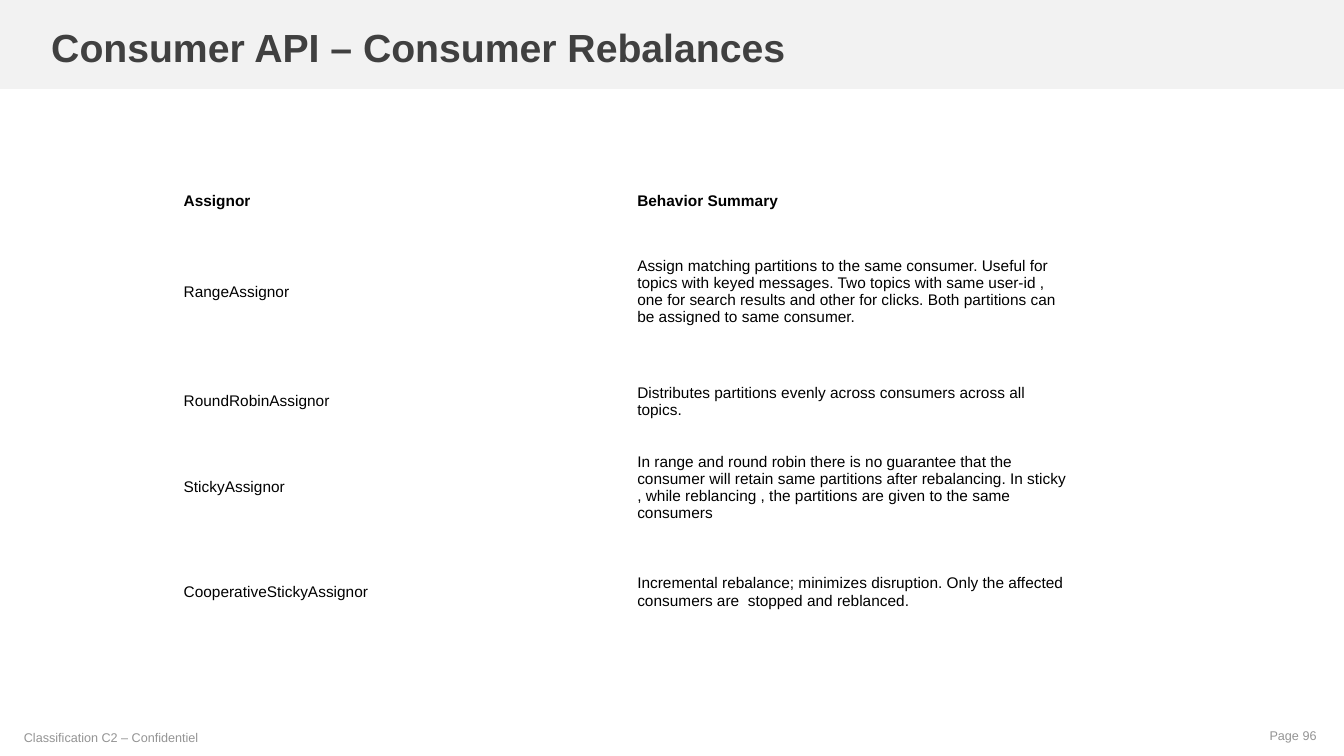
from pptx import Presentation
from pptx.dml.color import RGBColor
from pptx.enum.shapes import MSO_SHAPE
from pptx.enum.text import MSO_ANCHOR as Anchor, PP_ALIGN as Align
from pptx.util import Pt

COLORS = {"band": "F2F2F2", "title": "404040", "footer": "949494", "body": "000000"}

ASSIGNORS = [
    ("Assignor", "Behavior Summary"),
    ("RangeAssignor",
     "Assign matching partitions to the same consumer. Useful for topics with keyed "
     "messages. Two topics with same user-id , one for search results and other for "
     "clicks. Both partitions can be assigned to same consumer."),
    ("RoundRobinAssignor",
     "Distributes partitions evenly across consumers across all topics."),
    ("StickyAssignor",
     "In range and round robin there is no guarantee that the consumer will retain same "
     "partitions after rebalancing. In sticky , while reblancing , the partitions are "
     "given to the same consumers"),
    ("CooperativeStickyAssignor",
     "Incremental rebalance; minimizes disruption. Only the affected consumers are  "
     "stopped and reblanced."),
]


class SlideBuilder:
    font_name = "Arial"

    def __init__(self, slide):
        self.slide = slide

    def style(self, paragraph, size, color, bold=False):
        for run in paragraph.runs:
            run.font.name = self.font_name
            run.font.size = Pt(size)
            run.font.bold = bold
            run.font.color.rgb = RGBColor.from_string(COLORS[color])

    def band(self, left, top, width, height, color):
        shape = self.slide.shapes.add_shape(
            MSO_SHAPE.RECTANGLE, Pt(left), Pt(top), Pt(width), Pt(height))
        shape.shadow.inherit = False
        shape.fill.solid()
        shape.fill.fore_color.rgb = RGBColor.from_string(COLORS[color])
        shape.line.fill.background()

    def text(self, text, left, top, width, height, size, color,
             bold=False, align=Align.LEFT, spacing=1.0):
        box = self.slide.shapes.add_textbox(Pt(left), Pt(top), Pt(width), Pt(height))
        frame = box.text_frame
        frame.word_wrap = True
        frame.vertical_anchor = Anchor.MIDDLE
        frame.text = text
        paragraph = frame.paragraphs[0]
        paragraph.alignment = align
        paragraph.line_spacing = spacing
        self.style(paragraph, size, color, bold)

    def table(self, rows, left, top, column_width, row_heights, size, color):
        columns = len(rows[0])
        table = self.slide.shapes.add_table(
            len(rows), columns, Pt(left), Pt(top),
            Pt(column_width * columns), Pt(sum(row_heights))).table
        table.first_row = table.horz_banding = False
        for column in table.columns:
            column.width = Pt(column_width)
        for index, (texts, height) in enumerate(zip(rows, row_heights)):
            table.rows[index].height = Pt(height)
            for cell, text in zip(table.rows[index].cells, texts):
                cell.fill.background()
                cell.vertical_anchor = Anchor.MIDDLE
                cell.text_frame.text = text
                self.style(cell.text_frame.paragraphs[0], size, color, bold=index == 0)


def main():
    presentation = Presentation()
    presentation.slide_width, presentation.slide_height = Pt(960), Pt(540)
    builder = SlideBuilder(presentation.slides.add_slide(presentation.slide_layouts[6]))

    # Footer
    builder.text("Classification C2 – Confidentiel", 10, 512, 150, 29, 9, "footer")
    builder.text("Page 96 ", 754, 511, 196, 29, 9, "footer", align=Align.RIGHT)

    # Title band
    builder.band(0, 0, 960, 63.5, "band")
    builder.text("Consumer API – Consumer Rebalances", 29.5, 16, 796, 39, 28, "title",
                 bold=True, spacing=0.9)

    # Assignor table
    builder.table(ASSIGNORS, 124, 126, 324, [35, 95, 61.5, 61.5, 88], 11, "body")

    presentation.save("out.pptx")


if __name__ == "__main__":
    main()
